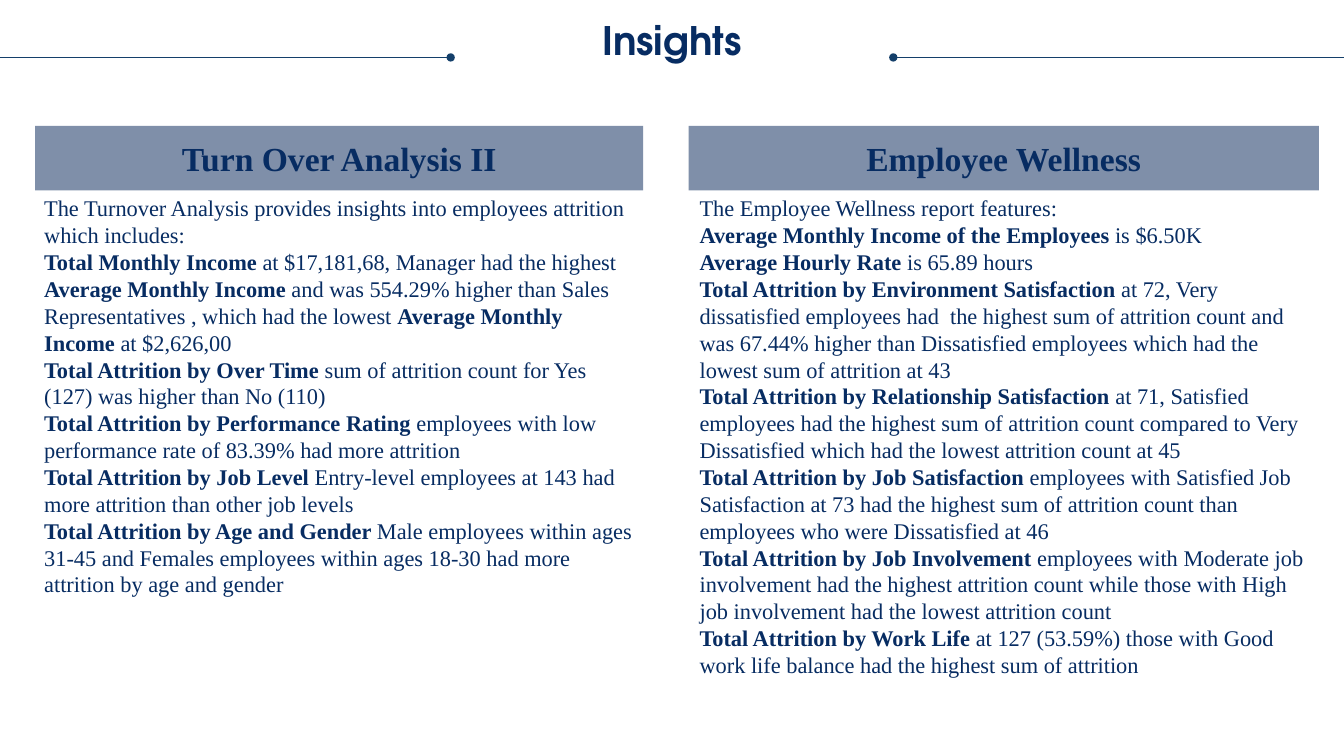
from pptx import Presentation
from pptx.dml.color import RGBColor
from pptx.enum.shapes import MSO_CONNECTOR, MSO_SHAPE
from pptx.enum.text import MSO_ANCHOR, PP_ALIGN
from pptx.oxml.ns import qn
from pptx.util import Inches, Pt
from lxml.etree import SubElement


def color(value):
    return RGBColor.from_string(value)


def add_panel(slide, left, top, width, height, fill, anchor):
    shape = slide.shapes.add_shape(
        MSO_SHAPE.RECTANGLE, Inches(left), Inches(top), Inches(width), Inches(height))
    shape.shadow.inherit = False
    shape.fill.solid()
    shape.fill.fore_color.rgb = color(fill)
    shape.line.fill.background()
    shape.text_frame.word_wrap = True
    shape.text_frame.vertical_anchor = anchor
    return shape.text_frame


NAVY = "072C62"
BODY_FONT = "Times New Roman"

turnover = [
    [("", "The Turnover Analysis provides insights into employees attrition which includes:")],
    [("Total Monthly Income ", "at $17,181,68, Manager had the highest "),
     ("Average Monthly Income ", "and was 554.29% higher than Sales Representatives , which had the lowest "),
     ("Average Monthly Income ", "at $2,626,00")],
    [("Total Attrition by Over Time ", "sum of attrition count for Yes (127) was higher than No (110)")],
    [("Total Attrition by Performance Rating", " employees with low performance rate of 83.39% had more attrition")],
    [("Total Attrition by Job Level ", "Entry-level employees at 143 had more attrition than other job levels")],
    [("Total Attrition by Age and Gender ",
      "Male employees within ages 31-45 and Females employees within ages 18-30 "
      "had more attrition by age and gender")],
]
wellness = [
    [("", "The Employee Wellness report features:")],
    [("Average Monthly Income of the Employees", " is $6.50K")],
    [("Average Hourly Rate ", "is 65.89 hours")],
    [("Total Attrition by Environment Satisfaction ",
      "at 72, Very dissatisfied employees had  the highest sum of attrition count and was 67.44% "
      "higher than Dissatisfied employees which had the lowest sum of attrition at 43")],
    [("Total Attrition by Relationship Satisfaction ",
      "at 71, Satisfied employees had the highest sum of attrition count compared to "
      "Very Dissatisfied which had the lowest attrition count at 45")],
    [("Total Attrition by Job Satisfaction ",
      "employees with Satisfied Job Satisfaction at 73 had the highest sum of attrition count "
      "than employees who were Dissatisfied at 46")],
    [("Total Attrition by Job Involvement ",
      "employees with Moderate job involvement had the highest attrition count while those "
      "with High job involvement had the lowest attrition count")],
    [("Total Attrition by Work Life ",
      "at 127 (53.59%) those with Good work life balance had the highest sum of attrition")],
]

presentation = Presentation()
presentation.slide_width = Inches(13.33)
presentation.slide_height = Inches(7.5)
slide = presentation.slides.add_slide(presentation.slide_layouts[6])

for start, end, dot_end in [(0, 4.47, "a:tailEnd"), (8.86, 13.33, "a:headEnd")]:
    connector = slide.shapes.add_connector(
        MSO_CONNECTOR.STRAIGHT, Inches(start), Inches(0.57), Inches(end), Inches(0.57))
    connector.line.color.rgb = color("143F6A")
    connector.line.width = Pt(0.5)
    SubElement(connector.line._get_or_add_ln(), qn(dot_end), type="oval")
    SubElement(connector._element.spPr, qn("a:effectLst"))

title = slide.shapes.add_textbox(Inches(0.25), Inches(0.21), Inches(12.83), Inches(0.42)).text_frame
title.word_wrap = True
title.margin_left = title.margin_right = title.margin_top = title.margin_bottom = 0
paragraph = title.paragraphs[0]
paragraph.text = "Insights"
paragraph.alignment = PP_ALIGN.CENTER
paragraph.line_spacing = 0.9
paragraph.font.name = "TeX Gyre Adventor"
paragraph.font.size = Pt(28)
paragraph.font.bold = True
paragraph.font.color.rgb = color(NAVY)

columns = [
    ("Turn Over Analysis II", 0.35, 0.34, 6.03, turnover),
    ("Employee Wellness", 6.83, 6.84, 6.25, wellness),
]
for heading, heading_left, body_left, width, findings in columns:
    body = add_panel(slide, body_left, 1.88, width, 5.3, "FFFFFF", MSO_ANCHOR.TOP)
    for index, finding in enumerate(findings):
        paragraph = body.add_paragraph() if index else body.paragraphs[0]
        paragraph.alignment = PP_ALIGN.LEFT
        paragraph.font.name = BODY_FONT
        paragraph.font.size = Pt(16)
        paragraph.font.color.rgb = color(NAVY)
        for label, detail in finding:
            if label:
                run = paragraph.add_run()
                run.text = label
                run.font.bold = True
            paragraph.add_run().text = detail

    header = add_panel(slide, heading_left, 1.25, width, 0.64, "7F8FA9", MSO_ANCHOR.MIDDLE)
    paragraph = header.paragraphs[0]
    paragraph.text = heading
    paragraph.alignment = PP_ALIGN.CENTER
    paragraph.font.name = BODY_FONT
    paragraph.font.size = Pt(24)
    paragraph.font.bold = True
    paragraph.font.color.rgb = color(NAVY)

presentation.save("out.pptx")
